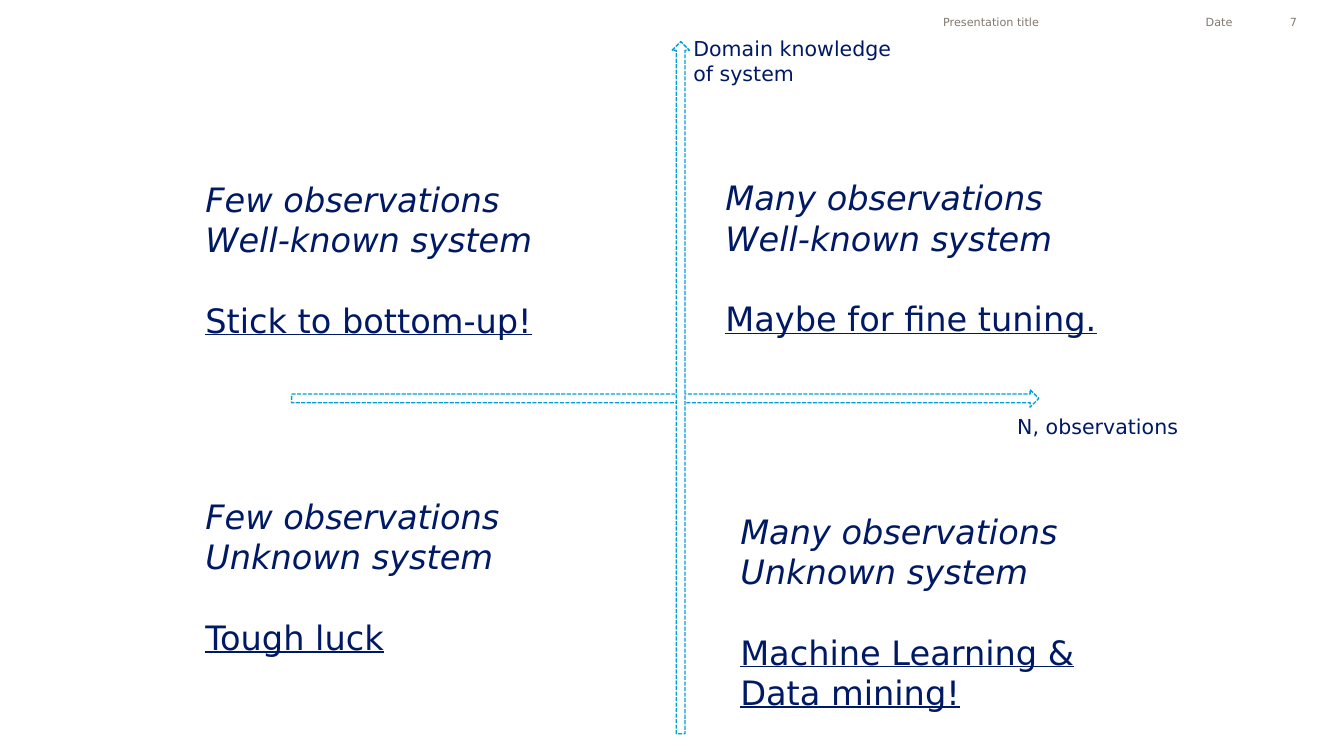
from pptx import Presentation
from pptx.dml.color import RGBColor
from pptx.enum.dml import MSO_LINE
from pptx.enum.shapes import MSO_SHAPE
from pptx.enum.text import MSO_ANCHOR, PP_ALIGN
from pptx.util import Inches, Pt

NAVY = RGBColor(0x00, 0x19, 0x65)
BLUE = RGBColor(0x00, 0x9F, 0xDA)
GREY = RGBColor(0x82, 0x78, 0x6F)
WHITE = RGBColor(0xFF, 0xFF, 0xFF)
RIGHT_ARROW, UP_ARROW = MSO_SHAPE.RIGHT_ARROW, MSO_SHAPE.UP_ARROW
DASH = MSO_LINE.SQUARE_DOT
RIGHT = PP_ALIGN.RIGHT
MIDDLE = MSO_ANCHOR.MIDDLE
FONT = "DejaVu Sans"
LINE_FACTOR = 1.2

HEADER = [
    ("Presentation title", 4.56, 3.17),
    ("Date", 7.86, 1.31),
    ("7", 9.31, 0.34),
]
AXES = [
    (RIGHT_ARROW, (2.17, 2.9, 5.56, 0.13)),
    (UP_ARROW, (5, 0.31, 0.13, 5.15)),
]
AXIS_LABELS = [
    (["N, observations"], (7.47, 3.03, 1.42, 0.29)),
    (["Domain knowledge", "of system"], (5.06, 0.22, 1.69, 0.47)),
]
QUADRANTS = [
    (["Few observations", "Well-known system"], ["Stick to bottom-up!"],
     (1.43, 1.28, 2.69, 1.31), None),
    (["Many observations", "Unknown system"], ["Machine Learning &", "Data mining!"],
     (5.41, 3.75, 2.69, 1.62), WHITE),
    (["Many observations", "Well-known system"], ["Maybe for fine tuning."],
     (5.3, 1.27, 3, 1.31), None),
    (["Few observations", "Unknown system"], ["Tough luck"],
     (1.43, 3.64, 2.4, 1.31), None),
]


def add_text(page, lines, area, size, color):
    box = page.shapes.add_textbox(*map(Inches, area))
    frame = box.text_frame
    frame.word_wrap = False
    frame.text = "\n".join(lines)
    for para in frame.paragraphs:
        para.line_spacing = Pt(round(size * LINE_FACTOR, 1))
        for span in para.runs:
            span.font.name = FONT
            span.font.size = Pt(size)
            span.font.color.rgb = color
    return box


def add_header(page, text, left, width):
    frame = add_text(page, [text], (left, 0.11, width, 0.11), 6, GREY).text_frame
    frame.margin_left = frame.margin_right = frame.margin_top = frame.margin_bottom = 0
    frame.vertical_anchor = MIDDLE
    frame.word_wrap = True
    frame.paragraphs[0].alignment = RIGHT


def add_axis(page, kind, area):
    arrow = page.shapes.add_shape(kind, *map(Inches, area))
    arrow.shadow.inherit = False
    arrow.fill.solid()
    arrow.fill.fore_color.rgb = WHITE
    arrow.line.color.rgb = BLUE
    arrow.line.width = Pt(0.75)
    arrow.line.dash_style = DASH


def add_quadrant(page, situation, verdict, area, fill):
    box = add_text(page, situation + verdict, area, 18, NAVY)
    if fill is not None:
        box.fill.solid()
        box.fill.fore_color.rgb = fill
    paras = box.text_frame.paragraphs
    count = len(situation)
    for para in paras[:count]:
        para.runs[0].font.italic = True
    for para in paras[count:]:
        para.runs[0].font.underline = True
    paras[count].space_before = paras[count].line_spacing


def main():
    deck = Presentation()
    deck.slide_width = Inches(10)
    deck.slide_height = deck.slide_width * 9 // 16
    page = deck.slides.add_slide(deck.slide_layouts[6])
    for item in HEADER:
        add_header(page, *item)
    for axis in AXES:
        add_axis(page, *axis)
    for lines, area in AXIS_LABELS:
        add_text(page, lines, area, 11, NAVY)
    for quadrant in QUADRANTS:
        add_quadrant(page, *quadrant)
    deck.save("out.pptx")


if __name__ == "__main__":
    main()
